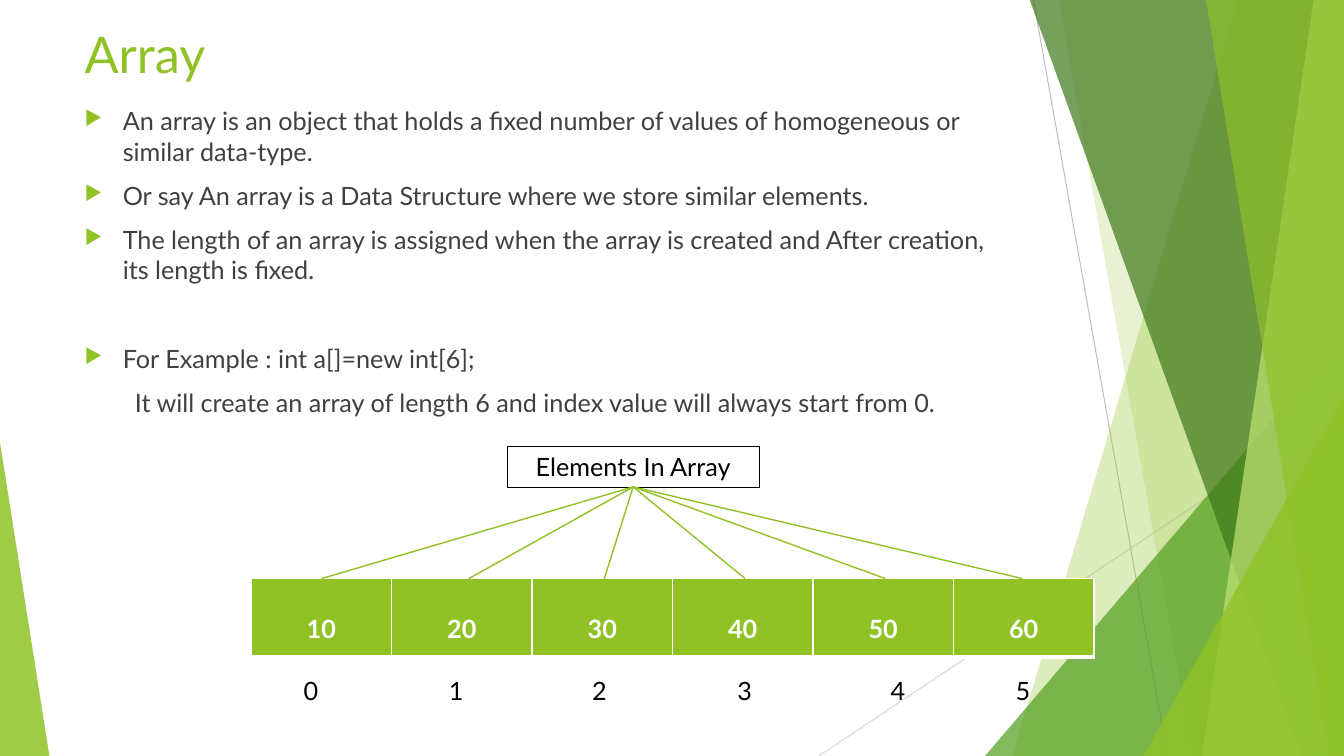
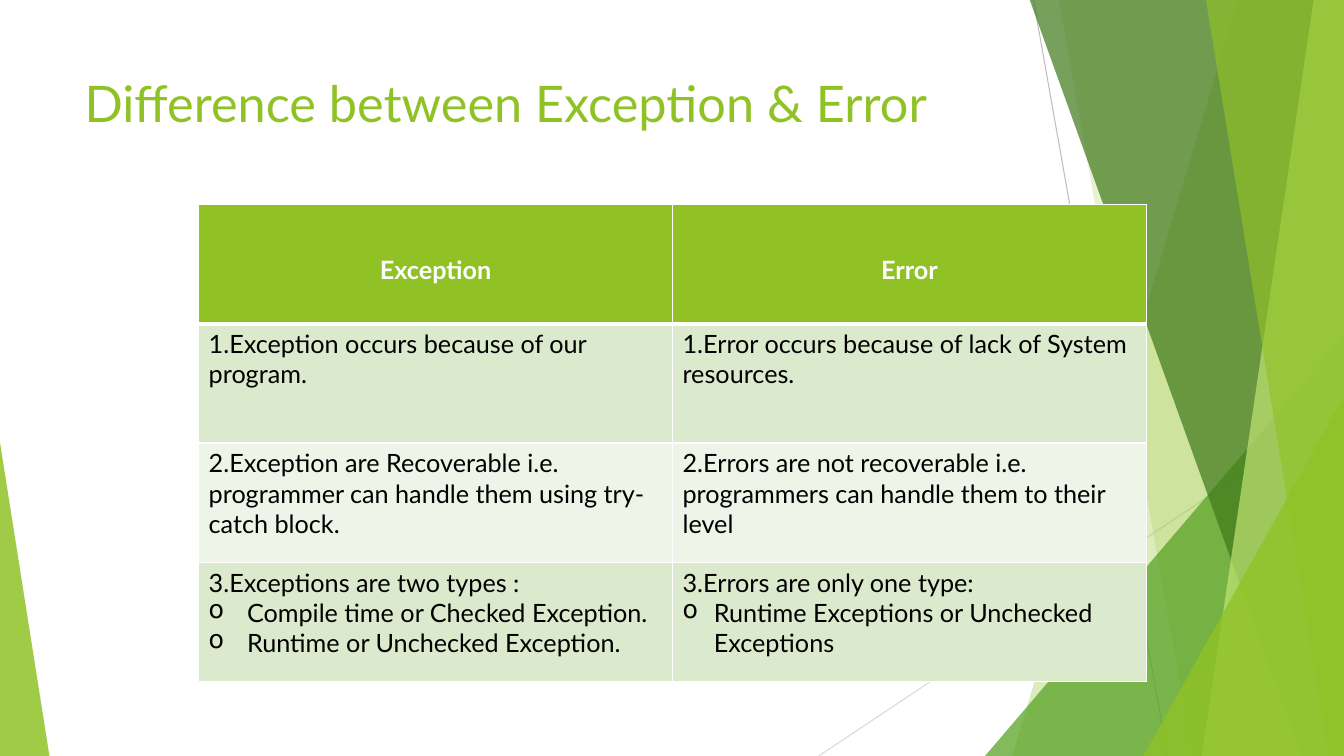
"""Build two slides on arrays and on exceptions versus errors."""
from lxml import etree
from pptx import Presentation
from pptx.dml.color import RGBColor
from pptx.enum.shapes import MSO_CONNECTOR, MSO_SHAPE
from pptx.enum.text import PP_ALIGN
from pptx.oxml.ns import qn
from pptx.util import Inches, Pt

STRAIGHT = MSO_CONNECTOR.STRAIGHT
TRIANGLE, RECTANGLE = MSO_SHAPE.ISOSCELES_TRIANGLE, MSO_SHAPE.RECTANGLE
CENTER = PP_ALIGN.CENTER
rgb = RGBColor.from_string

FONT = "Lato"
GREEN, WHITE, BLACK, GREY = "90C226", "FFFFFF", "000000", "404040"
ROW_FILLS = ["DBE9CD", "EEF4E8"]
WIDTH, HEIGHT = 13.33, 7.5

TITLES = [("Array", 0.18), ("Difference between Exception & Error", 0.67)]
BACK_LINES = [((10.25, 0), (11.58, HEIGHT), "BFBFBF"),
              ((WIDTH, 4.03), (8.12, HEIGHT), "D9D9D9")]
# Bands hold the left edge at top and bottom; triangles hold a box and the apex.
BACKDROP = [
    ((12.28, 10.04), GREEN, 30),
    ((10.5, 11.83), GREEN, 20),
    ((9.77, 3.33, 3.56, 4.17, 1), "54A021", 72),
    ((10.21, 12.91), "3F7819", 70),
    ((13.03, 11.92), "C0E474", 70),
    ((11.96, 13.18), GREEN, 65),
    ((11.34, 3.93, 1.99, 3.57, 1), GREEN, 80),
    ((0, 4.39, 0.49, 3.11, 0), GREEN, 85),
]


def write(p, text, color, size=18, bold=False, align=None, bullet=None, indent=0.0):
    """Fill one paragraph; a bullet hangs in the indent."""
    p.text = text
    pPr = p._p.get_or_add_pPr()
    if indent:
        pPr.set("marL", str(Inches(indent)))
    if bullet:
        pPr.set("indent", str(-Inches(indent)))
        if bullet == "▶":
            clr = etree.SubElement(pPr, qn("a:buClr"))
            etree.SubElement(clr, qn("a:srgbClr"), val=GREEN)
            etree.SubElement(pPr, qn("a:buSzPct"), val="80000")
        etree.SubElement(pPr, qn("a:buChar"), char=bullet)
    p.alignment = align
    for r in p.runs:
        r.font.name, r.font.size, r.font.bold = FONT, Pt(size), bold
        r.font.color.rgb = rgb(color)


def draw_line(s, start, end, color, width):
    """Draw a straight line between two points."""
    line = s.shapes.add_connector(STRAIGHT, *map(Inches, start + end))
    line.line.color.rgb = rgb(color)
    line.line.width = Pt(width)
    etree.SubElement(line._element.spPr, qn("a:effectLst"))


prs = Presentation()
prs.slide_width, prs.slide_height = Inches(WIDTH), Inches(HEIGHT)
slides = []

for title, top in TITLES:
    s = prs.slides.add_slide(prs.slide_layouts[6])
    slides.append(s)
    for start, end, color in BACK_LINES:
        draw_line(s, start, end, color, 0.75)
    for geometry, color, alpha in BACKDROP:
        if len(geometry) == 2:
            top_x, bottom_x = geometry
            outline = s.shapes.build_freeform(Inches(top_x), Inches(-0.01))
            corners = [(WIDTH, -0.01), (WIDTH, HEIGHT), (bottom_x, HEIGHT)]
            outline.add_line_segments([(Inches(x), Inches(y)) for x, y in corners])
            sp = outline.convert_to_shape()
        else:
            sp = s.shapes.add_shape(TRIANGLE, *map(Inches, geometry[:4]))
            sp.adjustments[0] = geometry[4]
        sp.shadow.inherit = False
        sp.fill.solid()
        sp.fill.fore_color.rgb = rgb(color)
        clr = sp._element.spPr.find(".//" + qn("a:srgbClr"))
        etree.SubElement(clr, qn("a:alpha"), val=str(alpha * 1000))
        sp.line.fill.background()
    tf = s.shapes.add_textbox(Inches(0.74), Inches(top), Inches(9.4), Inches(1.44)).text_frame
    tf.word_wrap = True
    write(tf.paragraphs[0], title, GREEN, size=36)

array_slide, difference_slide = slides

BODY = [
    ("An array is an object that holds a fixed number of values of homogeneous or similar data-type.", "▶", 0.38, 0),
    ("Or say An array is a Data Structure where we store similar elements.", "▶", 0.38, 10),
    ("The length of an array is assigned when the array is created and After creation, its length is fixed.",
     "▶", 0.38, 10),
    ("For Example : int a[]=new int[6];", "▶", 0.38, 41.6),
    ("It will create an array of length 6 and index value will always start from 0.", None, 0.5, 10),
]
tf = array_slide.shapes.add_textbox(Inches(0.74), Inches(1), Inches(9.4), Inches(3.29)).text_frame
tf.word_wrap = True
for i, (text, bullet, indent, space) in enumerate(BODY):
    p = tf.add_paragraph() if i else tf.paragraphs[0]
    write(p, text, GREY, bullet=bullet, indent=indent)
    p.space_before = Pt(space)

VALUES = [[["10"], ["20"], ["30"], ["40"], ["50"], ["60"]]]
DIFFERENCES = [
    [["Exception"], ["Error"]],
    [["1.Exception occurs because of our program."],
     ["1.Error occurs because of lack of System resources."]],
    [["2.Exception are Recoverable i.e. programmer can handle them using try-catch block."],
     ["2.Errors are not recoverable i.e. programmers can handle them to their level"]],
    [["3.Exceptions are two types :", "Compile time or Checked Exception.", "Runtime or Unchecked Exception."],
     ["3.Errors are only one type:", "Runtime Exceptions or Unchecked Exceptions"]],
]
TABLES = [
    (array_slide, VALUES, (2.49, 5.74, 8.36, 0.78), 2.0),
    (difference_slide, DIFFERENCES, (1.97, 2.03, 9.4, 4.73), 2.5),
]
for s, rows, box, spacing in TABLES:
    table = s.shapes.add_table(len(rows), len(rows[0]), *map(Inches, box)).table
    for i, row in enumerate(rows):
        header = i == 0
        for j, lines in enumerate(row):
            cell = table.cell(i, j)
            tcPr = cell._tc.get_or_add_tcPr()
            for side in "LRTB":
                width = 3 if (header and side == "B") or (i == 1 and side == "T") else 1
                ln = etree.SubElement(tcPr, qn("a:ln" + side), w=str(Pt(width)))
                fill = etree.SubElement(ln, qn("a:solidFill"))
                etree.SubElement(fill, qn("a:srgbClr"), val=WHITE)
            cell.fill.solid()
            cell.fill.fore_color.rgb = rgb(GREEN if header else ROW_FILLS[(i - 1) % 2])
            tf = cell.text_frame
            for k, text in enumerate(lines):
                p = tf.add_paragraph() if k else tf.paragraphs[0]
                if header:
                    write(p, text, WHITE, bold=True, align=CENTER)
                    p.line_spacing = spacing
                elif k:
                    write(p, text, BLACK, bullet="o", indent=(0.38, 0.31)[j])
                else:
                    write(p, text, BLACK)

for index, left in enumerate([2.75, 4.19, 5.61, 7.05, 8.57, 9.81]):
    tf = array_slide.shapes.add_textbox(Inches(left), Inches(6.65), Inches(0.67), Inches(0.4)).text_frame
    tf.word_wrap = True
    write(tf.paragraphs[0], str(index), BLACK, align=CENTER)

sp = array_slide.shapes.add_shape(RECTANGLE, Inches(5.03), Inches(4.43), Inches(2.5), Inches(0.4))
sp.shadow.inherit = False
sp.fill.background()
sp.line.color.rgb = rgb(BLACK)
sp.line.width = Pt(0.25)
write(sp.text_frame.paragraphs[0], "Elements In Array", BLACK, align=CENTER)

for end in [(3.19, 5.74), (4.65, 5.74), (5.95, 5.88), (7.39, 5.74), (8.78, 5.74), (10.14, 5.74)]:
    draw_line(array_slide, (6.28, 4.83), end, GREEN, 1)

prs.save("out.pptx")
